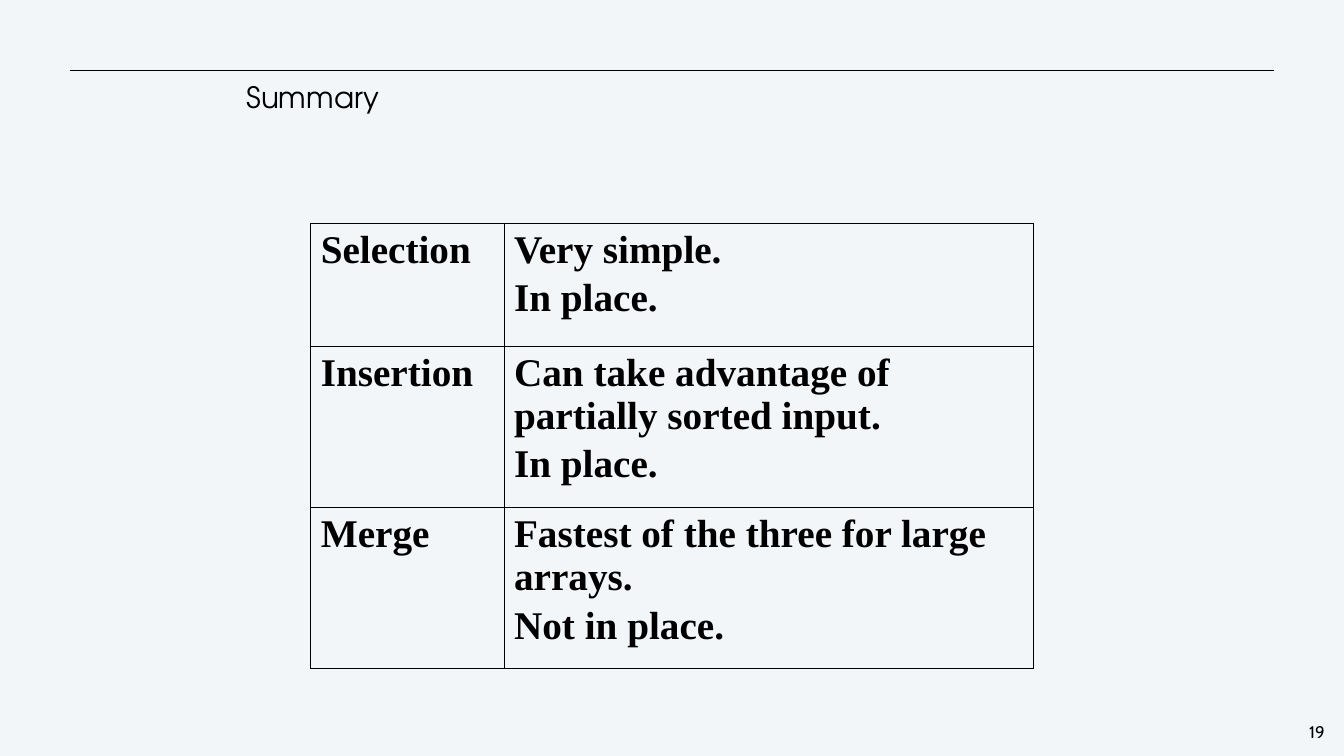
"""Build the summary slide that compares three sorting algorithms."""
from lxml.etree import SubElement
from pptx import Presentation
from pptx.dml.color import RGBColor
from pptx.enum.text import MSO_ANCHOR, PP_ALIGN
from pptx.oxml import parse_xml
from pptx.oxml.ns import nsdecls, qn
from pptx.util import Cm, Pt


def color(value):
    return RGBColor.from_string(value)


def write(frame, text, font="Times New Roman", size=56, bold=False, align=PP_ALIGN.LEFT,
          spacing=None, before=0, margins=(0.51, 0.25), wrap=True):
    frame.word_wrap = wrap
    frame.margin_left = frame.margin_right = Cm(margins[0])
    frame.margin_top = frame.margin_bottom = Cm(margins[1])
    frame.text = text
    for index, paragraph in enumerate(frame.paragraphs):
        paragraph.alignment = align
        if spacing:
            paragraph.line_spacing = Pt(spacing)
        if index:
            paragraph.space_before = Pt(before)
        for run in paragraph.runs:
            run.font.name = font
            run.font.size = Pt(size)
            run.font.bold = bold
            run.font.color.rgb = color("000000")


presentation = Presentation()
presentation.slide_width = Cm(67.74)
presentation.slide_height = Cm(38.1)
slide = presentation.slides.add_slide(presentation.slide_layouts[6])
slide.background.fill.solid()
slide.background.fill.fore_color.rgb = color("F3F6F9")

rule = slide.shapes.add_connector(1, Cm(3.53), Cm(3.55), Cm(64.21), Cm(3.55))
rule.line.color.rgb = color("000000")
rule.line.width = Pt(1)
SubElement(rule._element.spPr, qn("a:effectLst"))

title = slide.shapes.add_textbox(Cm(12.27), Cm(3.84), Cm(43.18), Cm(2.06))
title.text_frame.vertical_anchor = MSO_ANCHOR.MIDDLE
write(title.text_frame, "Summary", font="TeX Gyre Adventor", size=42, spacing=50,
      margins=(0.15, 0.15))

algorithms = [
    ("Selection", "Very simple.\nIn place."),
    ("Insertion", "Can take advantage of partially sorted input.\nIn place."),
    ("Merge", "Fastest of the three for large arrays.\nNot in place."),
]
column_widths = [9.74, 26.66]
row_heights = [6.2, 8.13, 8.1]
table_shape = slide.shapes.add_table(len(algorithms), 2, Cm(15.66), Cm(11.25),
                                     Cm(sum(column_widths)), Cm(sum(row_heights)))
table = table_shape.table
table.first_row = False
table.horz_banding = False
for column, width in zip(table.columns, column_widths):
    column.width = Cm(width)
for row, height, texts in zip(table.rows, row_heights, algorithms):
    row.height = Cm(height)
    for cell, text in zip(row.cells, texts):
        write(cell.text_frame, text, bold=True, before=7)
        cell.margin_left = cell.margin_right = Cm(0.51)
        cell.margin_top = cell.margin_bottom = Cm(0.25)
        properties = cell._tc.get_or_add_tcPr()
        for side in ("lnL", "lnR", "lnT", "lnB"):
            properties.append(parse_xml(
                f'<a:{side} {nsdecls("a")} w="12700"><a:solidFill>'
                f'<a:srgbClr val="000000"/></a:solidFill></a:{side}>'))
        cell.fill.background()

number = slide.shapes.add_textbox(Cm(65.84), Cm(36.3), Cm(1.07), Cm(1.22))
write(number.text_frame, "19", font="Cabin", size=24, align=PP_ALIGN.CENTER, spacing=28,
      margins=(0.1, 0.1), wrap=False)

presentation.save("out.pptx")
